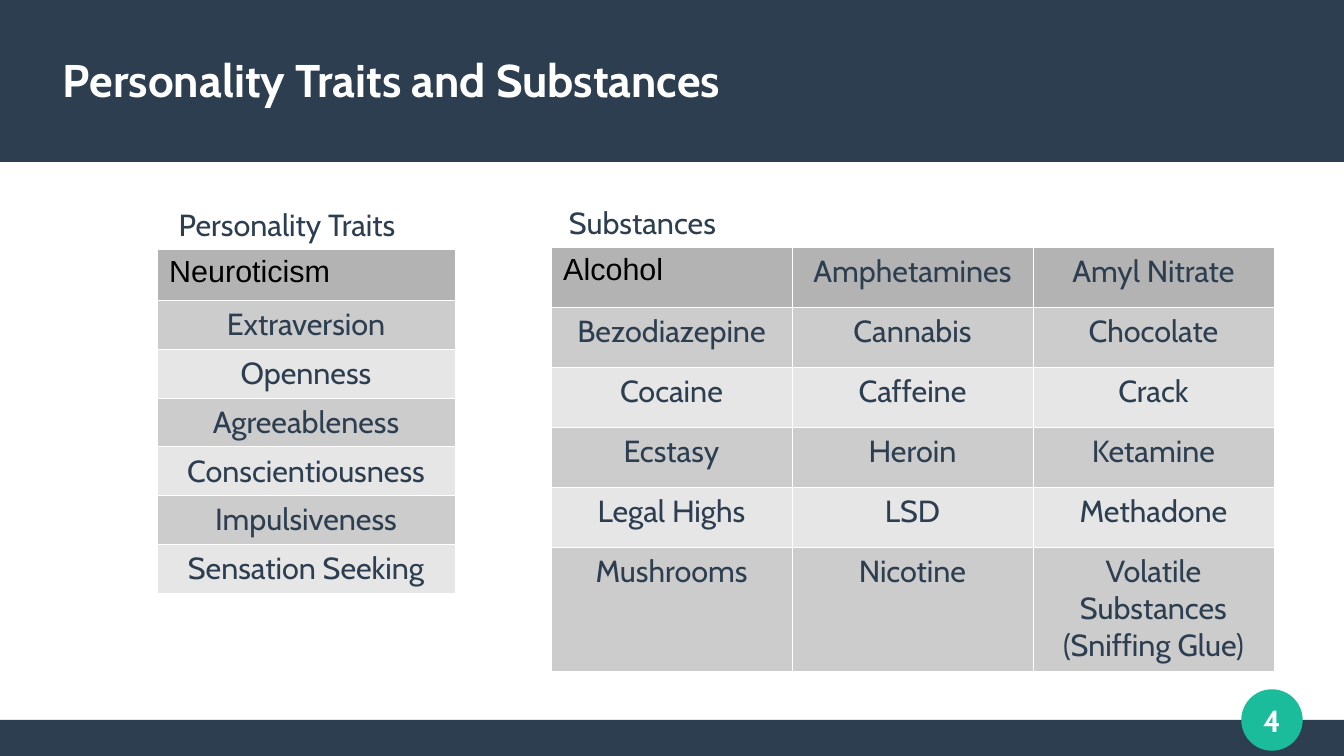
import pptx
import pptx.util
import pptx.dml.color
import pptx.enum.shapes
import pptx.enum.text
import pptx.oxml
import pptx.oxml.ns

RGB = pptx.dml.color.RGBColor
NAVY = RGB(0x2C, 0x3E, 0x50)
TEAL = RGB(0x1A, 0xBC, 0x9C)
WHITE = RGB(0xFF, 0xFF, 0xFF)
BLACK = RGB(0, 0, 0)
HEAD = RGB(0xB3, 0xB3, 0xB3)
BANDS = (RGB(0xE6, 0xE6, 0xE6), RGB(0xCC, 0xCC, 0xCC))
KIND = pptx.enum.shapes.MSO_SHAPE
ALIGN = pptx.enum.text.PP_ALIGN
MIDDLE = pptx.enum.text.MSO_ANCHOR.MIDDLE

TRAITS = [["Neuroticism"], ["Extraversion"], ["Openness"], ["Agreeableness"],
          ["Conscientiousness"], ["Impulsiveness"], ["Sensation Seeking"]]
DRUGS = [["Alcohol", "Amphetamines", "Amyl Nitrate"],
         ["Bezodiazepine", "Cannabis", "Chocolate"],
         ["Cocaine", "Caffeine", "Crack"],
         ["Ecstasy", "Heroin", "Ketamine"],
         ["Legal Highs", "LSD", "Methadone"],
         ["Mushrooms", "Nicotine", "Volatile Substances\n(Sniffing Glue)"]]


def px(*sizes):
    """Turn pixel lengths into EMU."""
    return [pptx.util.Emu(round(size * 914400 / 122)) for size in sizes]


def write(frame, text, size=18, color=NAVY, bold=False, align=ALIGN.CENTER, face="Cabin"):
    """Fill a text frame with evenly styled paragraphs."""
    frame.text = text
    for para in frame.paragraphs:
        para.alignment = align
        font = para.font
        font.name, font.size, font.bold = face, pptx.util.Pt(size), bold
        font.color.rgb = color


def strip(frame):
    """Remove the insets of a frame and centre it vertically."""
    frame.margin_left = frame.margin_right = frame.margin_top = frame.margin_bottom = 0
    frame.vertical_anchor = MIDDLE


def shape(slide, kind, box, color):
    """Add a plain filled shape."""
    item = slide.shapes.add_shape(kind, *px(*box))
    item.shadow.inherit = False
    item.fill.solid()
    item.fill.fore_color.rgb = color
    item.line.fill.background()
    return item


def title(slide, text, box):
    """Add the slide title."""
    frame = slide.shapes.add_textbox(*px(*box)).text_frame
    frame.word_wrap = True
    strip(frame)
    write(frame, text, 27, WHITE, True, ALIGN.LEFT)


def label(slide, text, box):
    """Add a caption above a table."""
    frame = slide.shapes.add_textbox(*px(*box)).text_frame
    frame.word_wrap = False
    frame.vertical_anchor = MIDDLE
    write(frame, text)


def badge(slide, text, box):
    """Add the round page number."""
    item = shape(slide, KIND.OVAL, box, TEAL)
    item.line.color.rgb = TEAL
    item.line.width = pptx.util.Pt(0.85)
    strip(item.text_frame)
    write(item.text_frame, text, 18, WHITE, True)


def border(cell):
    """Draw hairline white borders round a cell."""
    space = pptx.oxml.ns.nsdecls("a")
    for side in ("lnL", "lnR", "lnT", "lnB"):
        cell._tc.get_or_add_tcPr().append(pptx.oxml.parse_xml(
            f'<a:{side} {space} w="720"><a:solidFill><a:srgbClr val="{WHITE}"/>'
            f'</a:solidFill></a:{side}>'))


def grid(slide, data, left, top, width, rows):
    """Add a banded table whose first cell is left-aligned."""
    count = len(data[0])
    box = px(left, top, width * count, sum(rows))
    table = slide.shapes.add_table(len(data), count, *box).table
    table.first_row = table.horz_banding = False
    for col in table.columns:
        col.width = px(width)[0]
    for r, words in enumerate(data):
        table.rows[r].height = px(rows[r])[0]
        for c, text in enumerate(words):
            cell = table.cell(r, c)
            if r == c == 0:
                write(cell.text_frame, text, color=BLACK, align=ALIGN.LEFT, face="Arial")
            else:
                write(cell.text_frame, text)
            border(cell)
            cell.fill.solid()
            cell.fill.fore_color.rgb = BANDS[r % 2] if r else HEAD


def main():
    """Build and save the slide."""
    deck = pptx.Presentation()
    deck.slide_width, deck.slide_height = px(1344, 756)
    slide = deck.slides.add_slide(deck.slide_layouts[6])
    shape(slide, KIND.RECTANGLE, (0, 720, 1344, 36), NAVY)
    shape(slide, KIND.RECTANGLE, (0, 0, 1344, 162), NAVY)
    badge(slide, "4", (1242, 690, 60, 60))
    title(slide, "Personality Traits and Substances", (63, 31, 1249, 96))
    grid(slide, TRAITS, 157, 249, 298, [51] + [46] * 6)
    grid(slide, DRUGS, 551, 247, 241, [60] * 5 + [124])
    label(slide, "Personality Traits", (152, 197, 270, 54))
    label(slide, "Substances", (549, 195, 187, 54))
    deck.save("out.pptx")


if __name__ == "__main__":
    main()
